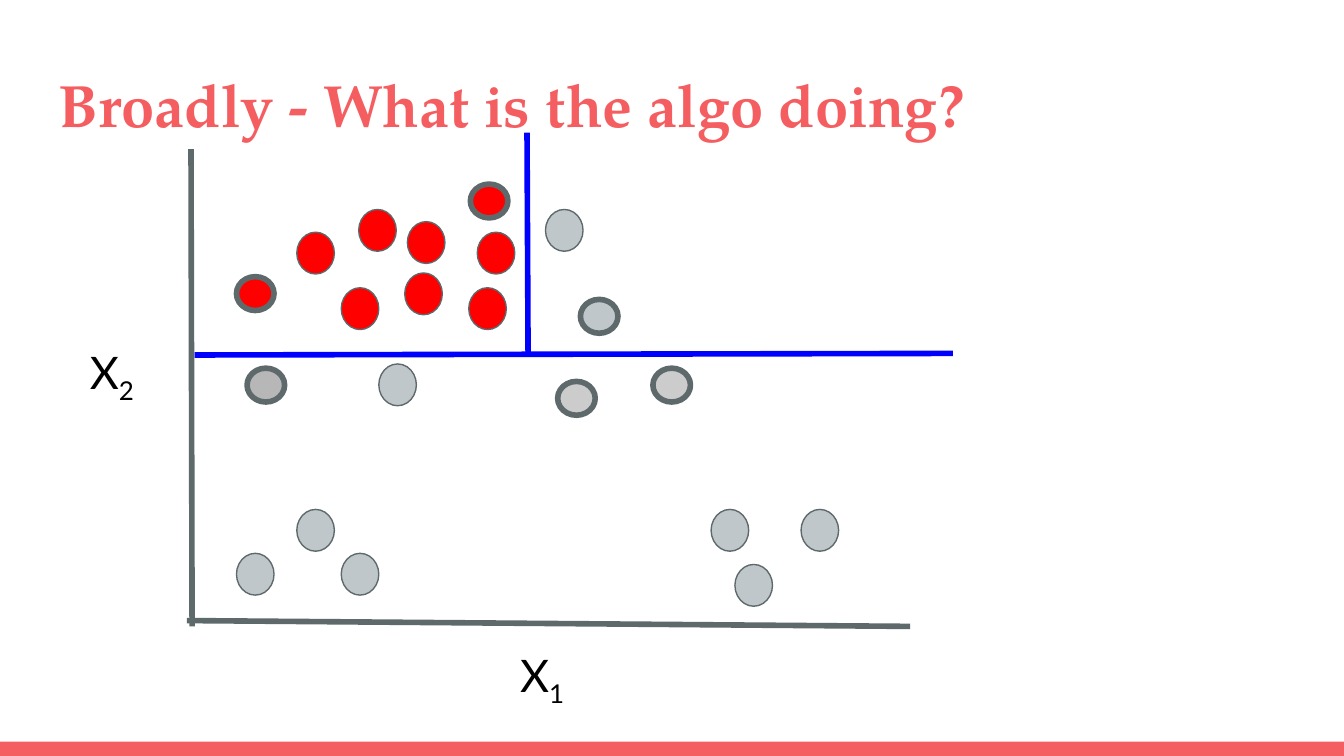
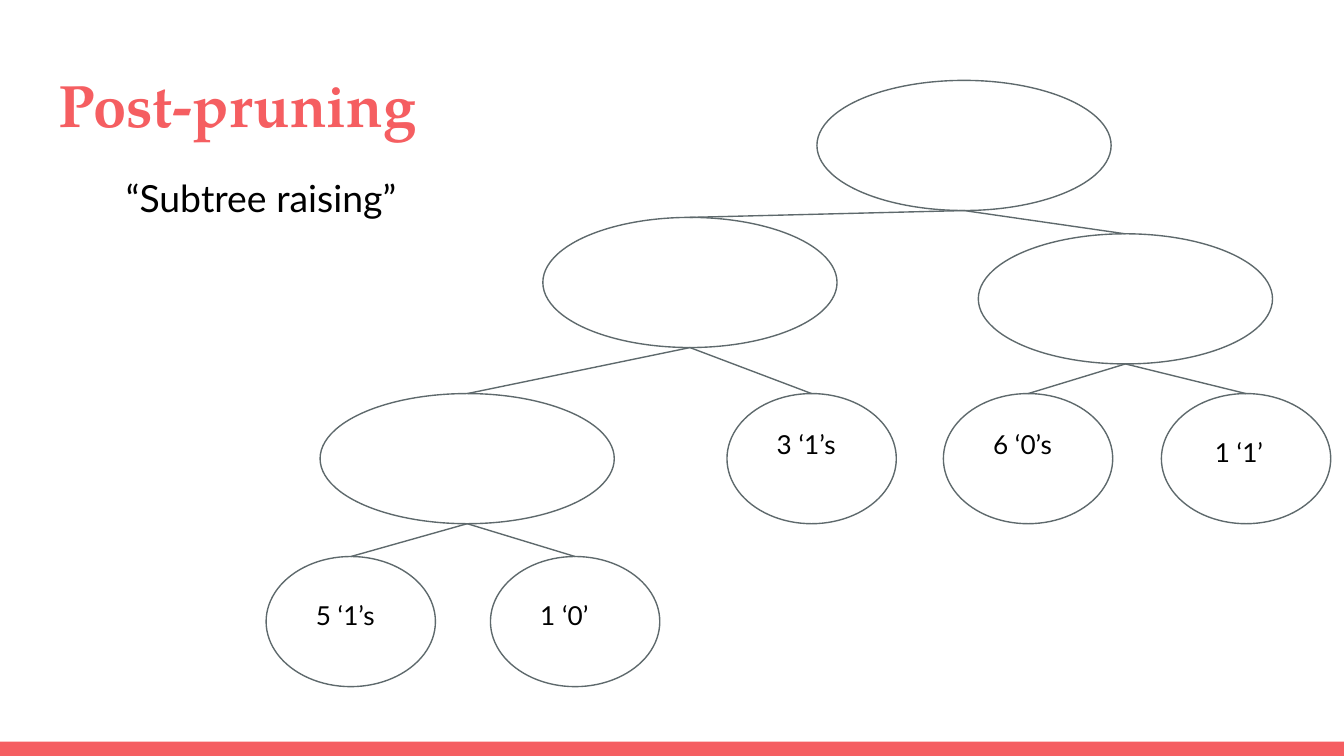
from collections import namedtuple
from dataclasses import dataclass

from lxml.etree import SubElement
from pptx import Presentation
from pptx.dml.color import RGBColor
from pptx.enum.shapes import MSO_CONNECTOR as Link, MSO_SHAPE as Shape
from pptx.enum.text import MSO_ANCHOR as Anchor
from pptx.oxml.ns import qn
from pptx.util import Cm, Pt

Box = namedtuple("Box", "left top width height")


@dataclass(frozen=True)
class Theme:
    """Colours, fonts and sizes that the slides share."""
    coral: str = "F55E61"
    slate: str = "5E696C"
    black: str = "000000"
    blue: str = "0000FF"
    red: str = "FF0000"
    mist: str = "BFC7CA"
    silver: str = "CCCCCC"
    grey: str = "B7B7B7"
    serif: str = "TeX Gyre Pagella"
    sans: str = "Lato"
    title: int = 32
    axis: int = 24
    body: int = 20
    leaf: int = 14
    thin: float = 0.75
    thick: float = 3
    inset: float = 0.25


THEME = Theme()
PAGE = Box(0, 0, 25.4, 14.29)
BAND = Box(0, 14.02, 25.4, 0.27)
TITLE = Box(0.86, 1.09, 23.67, 1.73)

DOT = (0.71, 0.79)
RINGED_DOT = (0.71, 0.64)
RED_DOTS = [(5.42, 1.59), (4.05, 2.36), (5.26, 2.64), (2.85, 2.64),
            (2.01, 1.59), (4.1, 1.39), (3.18, 1.16)]
MIST_DOTS = [(6.71, 1.16), (2.01, 6.83), (10.29, 7.87), (9.84, 6.83),
             (11.54, 6.83), (3.56, 4.08), (2.85, 7.66), (0.87, 7.66)]
RINGED_DOTS = [(6.94, 4.41, THEME.silver), (1.07, 4.16, THEME.grey),
               (0.87, 2.43, THEME.red), (8.74, 4.16, THEME.silver),
               (7.37, 2.86, THEME.mist), (5.29, 0.68, THEME.red)]
AXES = [((0.01, 0.02), (0.03, 9.04)), ((-0.07, 8.93), (13.6, 9.04))]
SPLITS = [((0.08, 3.91), (14.41, 3.88)), ((6.36, -0.29), (6.38, 3.91))]
AXIS_LABELS = [("2", -2.15, 3.47), ("1", 5.98, 9.19)]

BRANCH = (5.56, 2.46)
LEAF = (3.2, 2.46)
BRANCHES = {"root": (10.41, 0), "left": (5.23, 2.59),
            "right": (13.46, 2.9), "deep": (1.02, 5.92)}
LEAVES = {"5 ‘1’s": (0, 9, 0.69, 0.56), "1 ‘0’": (4.24, 9, 0.69, 0.56),
          "3 ‘1’s": (8.71, 5.92, 0.69, 0.41),
          "6 ‘0’s": (12.8, 5.92, 0.69, 0.41),
          "1 ‘1’": (16.92, 5.92, 0.76, 0.56)}
CHILDREN = {"root": ("left", "right"), "left": ("deep", "3 ‘1’s"),
            "right": ("6 ‘0’s", "1 ‘1’"), "deep": ("5 ‘1’s", "1 ‘0’")}


def lengths(values):
    """Turn centimetre numbers into lengths."""
    return [Cm(value) for value in values]


def within(box, left, top, size):
    """Return a box placed relative to the corner of another one."""
    return Box(box.left + left, box.top + top, *size)


def add_form(page, kind, box, fill=None, line=None, weight=THEME.thin):
    """Add a preset shape with plain fill and outline."""
    form = page.shapes.add_shape(kind, *lengths(box))
    form.shadow.inherit = False
    if fill:
        form.fill.solid()
        form.fill.fore_color.rgb = RGBColor.from_string(fill)
    else:
        form.fill.background()
    if line:
        form.line.color.rgb = RGBColor.from_string(line)
        form.line.width = Pt(weight)
    else:
        form.line.fill.background()
    return form


def add_line(page, box, start, end, colour, weight):
    """Add a straight line between two points of a box."""
    points = [box.left + start[0], box.top + start[1],
              box.left + end[0], box.top + end[1]]
    line = page.shapes.add_connector(Link.STRAIGHT, *lengths(points))
    line.line.color.rgb = RGBColor.from_string(colour)
    line.line.width = Pt(weight)
    SubElement(line._element.spPr, qn("a:effectLst"))
    return line


def add_text(page, box, text, size, subscript="", anchor=Anchor.TOP,
             font=THEME.sans, colour=THEME.black, bold=False):
    """Add one line of text, with an optional subscript."""
    frame = page.shapes.add_textbox(*lengths(box)).text_frame
    inset = Cm(THEME.inset)
    layout = {"word_wrap": True, "vertical_anchor": anchor,
              "margin_left": inset, "margin_right": inset,
              "margin_top": inset, "margin_bottom": inset}
    for name, value in layout.items():
        setattr(frame, name, value)
    para = frame.paragraphs[0]
    for part in filter(None, (text, subscript)):
        span = para.add_run()
        span.text = part
        for name, value in {"name": font, "size": Pt(size), "bold": bold}.items():
            setattr(span.font, name, value)
        span.font.color.rgb = RGBColor.from_string(colour)
    if subscript:
        span._r.get_or_add_rPr().set("baseline", "-25000")


def add_page(deck, title):
    """Add a page with the bottom band and its title."""
    page = deck.slides.add_slide(deck.slide_layouts[6])
    add_form(page, Shape.RECTANGLE, BAND, THEME.coral)
    add_text(page, TITLE, title, THEME.title, anchor=Anchor.MIDDLE,
             font=THEME.serif, colour=THEME.coral, bold=True)
    return page


def draw_scatter(page, box):
    """Draw the axes, the dots and the lines that split them."""
    for start, end in AXES:
        add_line(page, box, start, end, THEME.slate, THEME.thick)
    for dots, colour in ((MIST_DOTS, THEME.mist), (RED_DOTS, THEME.red)):
        for left, top in dots:
            add_form(page, Shape.OVAL, within(box, left, top, DOT),
                     colour, THEME.slate)
    for start, end in SPLITS:
        add_line(page, box, start, end, THEME.blue, THEME.thick)
    for left, top, colour in RINGED_DOTS:
        add_form(page, Shape.OVAL, within(box, left, top, RINGED_DOT),
                 colour, THEME.slate, THEME.thick)
    for index, left, top in AXIS_LABELS:
        add_text(page, within(box, left, top, (1.45, 1.73)), "X",
                 THEME.axis, subscript=index)


def draw_tree(page, box):
    """Draw the tree of empty branches and labelled leaves."""
    nodes = {}
    for name, (left, top) in BRANCHES.items():
        nodes[name] = add_form(page, Shape.OVAL, within(box, left, top, BRANCH),
                               line=THEME.slate)
    for name, (left, top, indent, drop) in LEAVES.items():
        place = within(box, left, top, LEAF)
        nodes[name] = add_form(page, Shape.OVAL, place, line=THEME.slate)
        add_text(page, within(place, indent, drop, (1.83, 1.35)), name, THEME.leaf)
    for parent, children in CHILDREN.items():
        left, top = BRANCHES[parent]
        foot = (left + BRANCH[0] / 2, top + BRANCH[1])
        for child in children:
            line = add_line(page, box, foot, foot, THEME.slate, THEME.thin)
            line.end_connect(nodes[child], 0)


def main():
    """Build both pages and save the deck."""
    deck = Presentation()
    deck.slide_width, deck.slide_height = lengths(PAGE[2:])
    page = add_page(deck, "Broadly - What is the algo doing?")
    draw_scatter(page, Box(3.6, 2.8, 14.4, 9.04))
    page = add_page(deck, "Post-pruning")
    add_text(page, Box(2.13, 3.07, 7.65, 1.35), "“Subtree raising”", THEME.body)
    draw_tree(page, Box(5.03, 1.52, 20.12, 11.46))
    deck.save("out.pptx")


if __name__ == "__main__":
    main()
